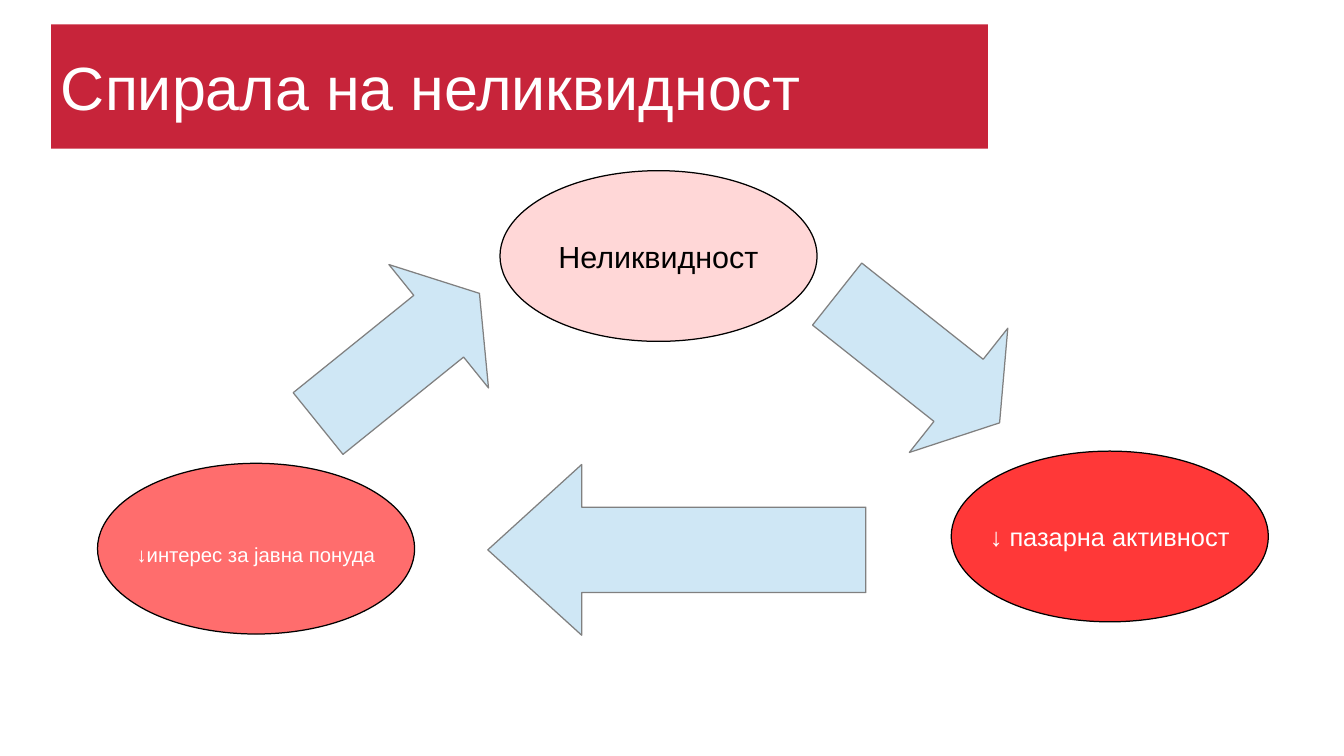
"""Build the slide on the spiral of illiquidity."""
from dataclasses import dataclass
from typing import Optional

from pptx import Presentation
from pptx.dml.color import RGBColor
from pptx.enum.shapes import MSO_SHAPE
from pptx.enum.text import MSO_ANCHOR, PP_ALIGN
from pptx.util import Inches, Pt

CELL = 0.1
SLIDE_COLS, SLIDE_ROWS = 110.2, 62
NODE_COLS, NODE_ROWS = 26, 14
RED, ARROW_BLUE = "C7243A", "CFE7F5"
WHITE, BLACK, GREY = "FFFFFF", "000000", "808080"


@dataclass
class Box:
    """A place on the grid, in columns and rows."""
    col: float
    row: float
    cols: float
    rows: float


@dataclass
class Node:
    """One stage of the spiral."""
    text: str
    col: float
    row: float
    fill: str
    size: int
    color: str = WHITE
    line_spacing: Optional[float] = None
    before: float = 0
    after: float = 0


@dataclass
class Arrow:
    """A block arrow between two stages."""
    kind: MSO_SHAPE
    box: Box
    head: float
    rotation: float = 0


NODES = [
    Node("Неликвидност", 41, 14, "FFD7D7", 18, BLACK),
    Node("↓ пазарна активност", 78, 37, "FF3838", 15),
    Node("↓интерес за јавна понуда", 8, 38, "FF6D6D", 12,
         line_spacing=1.5, before=1.4, after=2.9),
]
ARROWS = [
    Arrow(MSO_SHAPE.RIGHT_ARROW, Box(66.8, 22.9, 17, 13), 0.33, 38.4),
    Arrow(MSO_SHAPE.LEFT_ARROW, Box(40, 38.1, 31, 14), 0.55),
    Arrow(MSO_SHAPE.RIGHT_ARROW, Box(24.2, 22.9, 17, 13), 0.33, 321.1),
]


def grid(count: float) -> int:
    """Turn a count of grid cells into a length."""
    return Inches(count * CELL)


def rgb(value: str) -> RGBColor:
    """Turn a hex string into a colour."""
    return RGBColor.from_string(value)


def add_box(s, kind: MSO_SHAPE, box: Box, fill: str, line: Optional[str] = None):
    """Add a flat filled shape with an optional hairline."""
    sp = s.shapes.add_shape(kind, grid(box.col), grid(box.row),
                            grid(box.cols), grid(box.rows))
    sp.shadow.inherit = False
    sp.fill.solid()
    sp.fill.fore_color.rgb = rgb(fill)
    if line:
        sp.line.color.rgb = rgb(line)
        sp.line.width = Pt(0)
    else:
        sp.line.fill.background()
    return sp


def add_text(sp, text: str, size: int, color: str, align: PP_ALIGN):
    """Write one run into a shape and return its paragraph."""
    tf = sp.text_frame
    tf.vertical_anchor = MSO_ANCHOR.MIDDLE
    p = tf.paragraphs[0]
    p.alignment = align
    r = p.add_run()
    r.text = text
    r.font.name = "Arial"
    r.font.size = Pt(size)
    r.font.color.rgb = rgb(color)
    return p


def add_title(s, text: str) -> None:
    """Add the title bar."""
    sp = add_box(s, MSO_SHAPE.RECTANGLE, Box(4.2, 2, 76.8, 10.2), RED)
    tf = sp.text_frame
    tf.word_wrap = True
    tf.margin_left = grid(0.8)
    tf.margin_top = tf.margin_right = tf.margin_bottom = 0
    add_text(sp, text, 36, WHITE, PP_ALIGN.LEFT)


def add_node(s, node: Node) -> None:
    """Add an ellipse with its label."""
    box = Box(node.col, node.row, NODE_COLS, NODE_ROWS)
    sp = add_box(s, MSO_SHAPE.OVAL, box, node.fill, BLACK)
    sp.text_frame.word_wrap = False
    p = add_text(sp, node.text, node.size, node.color, PP_ALIGN.CENTER)
    p.line_spacing = node.line_spacing
    p.space_before, p.space_after = Pt(node.before), Pt(node.after)


def add_arrow(s, arrow: Arrow) -> None:
    """Add a block arrow turned to its direction."""
    sp = add_box(s, arrow.kind, arrow.box, ARROW_BLUE, GREY)
    sp.adjustments[0] = 0.5
    sp.adjustments[1] = arrow.head
    sp.rotation = arrow.rotation


def main() -> None:
    """Build and save the slide."""
    prs = Presentation()
    prs.slide_width, prs.slide_height = grid(SLIDE_COLS), grid(SLIDE_ROWS)
    s = prs.slides.add_slide(prs.slide_layouts[6])
    add_title(s, "Спирала на неликвидност")
    for node in NODES:
        add_node(s, node)
    for arrow in ARROWS:
        add_arrow(s, arrow)
    prs.save("out.pptx")


if __name__ == "__main__":
    main()
